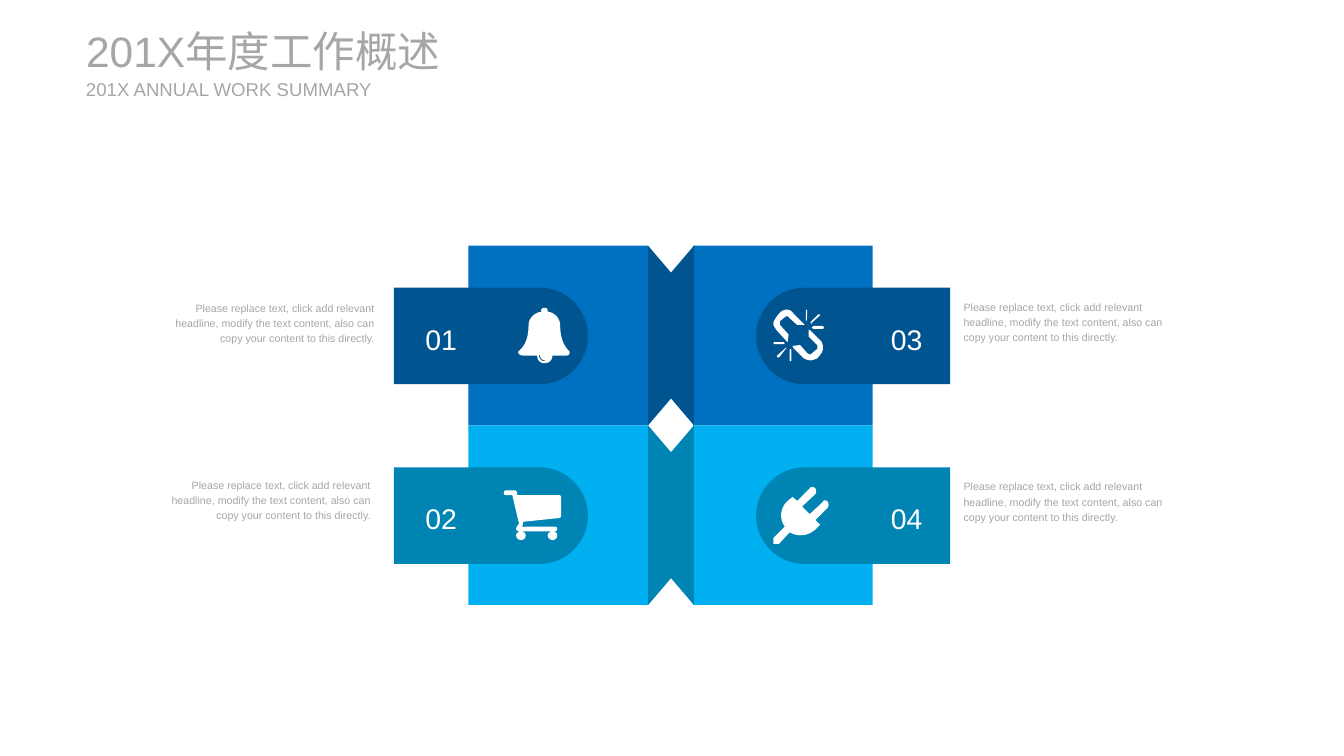
from pptx import Presentation
from pptx.dml.color import RGBColor
from pptx.enum.shapes import MSO_SHAPE
from pptx.enum.text import MSO_ANCHOR, PP_ALIGN
from pptx.util import Inches, Pt

RECTANGLE = MSO_SHAPE.RECTANGLE
SLANTED = MSO_SHAPE.FLOWCHART_MANUAL_INPUT
TAB = MSO_SHAPE.ROUND_2_SAME_RECTANGLE
LEFT, CENTER, RIGHT = PP_ALIGN.LEFT, PP_ALIGN.CENTER, PP_ALIGN.RIGHT
TOP, MIDDLE = MSO_ANCHOR.TOP, MSO_ANCHOR.MIDDLE

WHITE = RGBColor(0xFF, 0xFF, 0xFF)
GRAY = RGBColor(0xA6, 0xA6, 0xA6)
BLUE = RGBColor(0x00, 0x70, 0xC0)
DARK_BLUE = RGBColor(0x00, 0x54, 0x90)
CYAN = RGBColor(0x00, 0xB0, 0xF0)
DARK_CYAN = RGBColor(0x00, 0x84, 0xB4)

CAPTION = ("Please replace text, click add relevant headline, modify the text "
           "content, also can copy your content to this directly.")

# Icon outlines in hundredths of an inch: a pair is a straight line to a
# point, six numbers are a Bézier curve.
BELL = [
    [(51, 50), (36, 50), (36, 55, 32, 58, 28, 58), (23, 58, 20, 55, 20, 50),
     (5, 50), (2, 50, 0, 48, 0, 46), (5, 42, 11, 35, 11, 18),
     (11, 12, 16, 5, 25, 4), (24, 3), (24, 1, 26, 0, 28, 0),
     (30, 0, 31, 1, 31, 3), (31, 4), (39, 5, 44, 12, 44, 18),
     (44, 35, 50, 42, 54, 46), (54, 48, 53, 50, 51, 50)],
    [(28, 55), (25, 55, 23, 52, 23, 50), (22, 49), (22, 50),
     (22, 53, 24, 56, 28, 56)],
]
CART = [
    [(60, 26), (60, 28, 59, 29, 58, 29), (20, 33), (20, 36), (19, 38),
     (53, 38), (55, 38, 56, 39, 56, 40), (56, 42, 55, 43, 53, 43), (16, 43),
     (15, 43, 13, 42, 13, 40), (13, 39, 15, 36, 16, 35), (9, 5), (2, 5),
     (1, 5, 0, 4, 0, 3), (0, 2, 1, 0, 2, 0), (11, 0), (14, 0, 14, 3, 14, 5),
     (58, 5), (59, 5, 60, 6, 60, 7)],
] + [
    [(x, 52), (x - 2.5, 52, x - 5, 50, x - 5, 47),
     (x - 5, 45, x - 2.5, 43, x, 43), (x + 3, 43, x + 5, 45, x + 5, 47),
     (x + 5, 50, x + 3, 52, x, 52)] for x in (18, 51)
]
BROKEN_LINK = [
    [(25, 16), (16, 8), (16, 7, 15, 7, 14, 7), (13, 7, 13, 7, 12, 8), (7, 12),
     (7, 13, 7, 14, 7, 15), (7, 16), (16, 26), (15, 34), (13, 32), (3, 21),
     (2, 19, 0, 17, 0, 15), (0, 12, 2, 10, 3, 8), (7, 3),
     (9, 1, 12, 0, 14, 0), (17, 0, 19, 1, 21, 4), (31, 14), (33, 16)],
    [(50, 46), (46, 51), (43, 52, 41, 53, 39, 53), (36, 53, 34, 52, 32, 51),
     (21, 40), (20, 38), (28, 37), (36, 46), (38, 47, 40, 47, 40, 46),
     (46, 41), (46, 40), (46, 39, 46, 38, 46, 37), (37, 28), (37, 21),
     (39, 22), (50, 33), (51, 34, 52, 37, 52, 40), (52, 42, 51, 45, 50, 46)],
    # Rays
    [(11, 36), (1, 36), (0, 35), (1, 34), (11, 34), (12, 35)],
    [(6, 50), (5, 50), (4, 50), (4, 48), (13, 40), (14, 40), (13, 41)],
    [(19, 53), (18, 54), (17, 53), (17, 42), (18, 41), (19, 42)],
    [(35, 11), (35, 12), (34, 11), (34, 1), (35, 0), (35.5, 1)],
    [(40, 14), (40, 15), (39, 14), (39, 13), (47, 5), (49, 5), (49, 6)],
    [(52, 20), (42, 20), (40, 19), (42, 17), (52, 17), (53, 19)],
]
PLUG = [
    [(57, 22), (44, 35), (49, 40), (44, 45), (36, 52, 26, 53, 17, 48), (6, 60),
     (0, 60), (0, 54), (12, 42), (6, 34, 7, 23, 14, 16), (20, 11), (25, 15),
     (38, 2), (39, 0, 42, 0, 44, 2), (45, 4, 45, 6, 44, 8), (30, 21), (38, 29),
     (52, 16), (52, 14, 55, 14, 57, 16), (58, 18, 58, 20, 57, 22)],
]


def flatten(contour, steps=8):
    """Turn an outline with curves into a list of points."""
    points = []
    for item in contour:
        if len(item) == 2:
            points.append(item)
            continue
        controls = [points[-1], item[:2], item[2:4], item[4:]]
        for step in range(1, steps + 1):
            t = step / steps
            weights = ((1 - t) ** 3, 3 * t * (1 - t) ** 2, 3 * t * t * (1 - t), t ** 3)
            points.append(tuple(sum(weight * point[axis] for weight, point
                                    in zip(weights, controls)) for axis in (0, 1)))
    return points


class SlideBuilder:
    font_name = "Arial"

    def __init__(self, slide):
        self.slide = slide

    def paint(self, shape, color):
        shape.shadow.inherit = False
        shape.fill.solid()
        shape.fill.fore_color.rgb = color
        shape.line.fill.background()

    def shape(self, kind, left, top, width, height, color,
              rotation=0, flipped=False, group=None):
        parent = group or self.slide
        shape = parent.shapes.add_shape(
            kind, Inches(left), Inches(top), Inches(width), Inches(height))
        self.paint(shape, color)
        shape.rotation = rotation
        if flipped:
            shape.element.spPr.xfrm.set("flipH", "1")
        return shape

    def text(self, text, left, top, width, height, size, color=GRAY,
             align=LEFT, anchor=TOP, spacing=1.0, wrap=True):
        box = self.slide.shapes.add_textbox(
            Inches(left), Inches(top), Inches(width), Inches(height))
        frame = box.text_frame
        frame.margin_left = frame.margin_right = 0
        frame.margin_top = frame.margin_bottom = 0
        frame.word_wrap = wrap
        frame.vertical_anchor = anchor
        paragraph = frame.paragraphs[0]
        paragraph.alignment = align
        paragraph.line_spacing = spacing
        run = paragraph.add_run()
        run.text = text
        run.font.name = self.font_name
        run.font.size = Pt(size)
        run.font.color.rgb = color

    def icon(self, contours, left, top):
        builder = None
        for contour in contours:
            points = [(Inches(left + x / 100), Inches(top + y / 100))
                      for x, y in flatten(contour)]
            if builder is None:
                builder = self.slide.shapes.build_freeform(*points[0])
            else:
                builder.move_to(*points[0])
            builder.add_line_segments(points[1:], close=True)
        self.paint(builder.convert_to_shape(), WHITE)

    def panel(self, top, on_left, color, dark):
        """A square with its folded inner edge."""
        group = self.slide.shapes.add_group_shape()
        square_left, fold_left = (4.9, 6.78) if on_left else (7.25, 7.02)
        self.shape(RECTANGLE, square_left, top, 1.88, 1.88, color, group=group)
        self.shape(SLANTED, fold_left, top, 0.24, 1.41, dark,
                   flipped=on_left, group=group)
        self.shape(SLANTED, fold_left, top + 0.47, 0.24, 1.41, dark,
                   rotation=180, flipped=not on_left, group=group)

    def tab(self, top, on_left, color):
        left, rotation = (4.63, 90) if on_left else (8.42, 270)
        tab = self.shape(TAB, left, top, 1.01, 2.03, color, rotation=rotation)
        tab.adjustments[0] = 0.5
        tab.adjustments[1] = 0


def main():
    presentation = Presentation()
    presentation.slide_width = Inches(14.06)
    presentation.slide_height = Inches(7.91)
    slide = presentation.slides.add_slide(presentation.slide_layouts[6])
    builder = SlideBuilder(slide)

    # Headings
    builder.text("201X年度工作概述", 0.9, 0.26, 4.32, 0.54, 32, anchor=MIDDLE)
    builder.text("201X ANNUAL WORK SUMMARY", 0.9, 0.81, 3.07, 0.24, 14, anchor=MIDDLE)

    # Four quarters: number, row, on the left, icon and its place, caption place
    quarters = [
        ("01", 0, True, BELL, (5.42, 3.22), (1.77, 3.13, 2.15)),
        ("02", 1, True, CART, (5.27, 5.13), (1.73, 4.98, 2.15)),
        ("03", 0, False, BROKEN_LINK, (8.09, 3.24), (10.08, 3.12, 2.18)),
        ("04", 1, False, PLUG, (8.09, 5.09), (10.08, 5, 2.18)),
    ]
    row_colors = [(BLUE, DARK_BLUE), (CYAN, DARK_CYAN)]
    for number, row, on_left, icon, icon_place, caption_place in quarters:
        color, dark = row_colors[row]
        offset = 1.88 * row
        builder.panel(2.57 + offset, on_left, color, dark)
        builder.tab(2.5 + offset, on_left, dark)
        builder.icon(icon, *icon_place)
        builder.text(number, 4.32 if on_left else 9.19, 3.32 + offset, 0.59, 0.38,
                     21.4, WHITE, CENTER, MIDDLE, spacing=1.2, wrap=False)
        builder.text(CAPTION, *caption_place, 0.47, 8,
                     align=RIGHT if on_left else LEFT, spacing=1.2)

    presentation.save("out.pptx")


if __name__ == "__main__":
    main()
